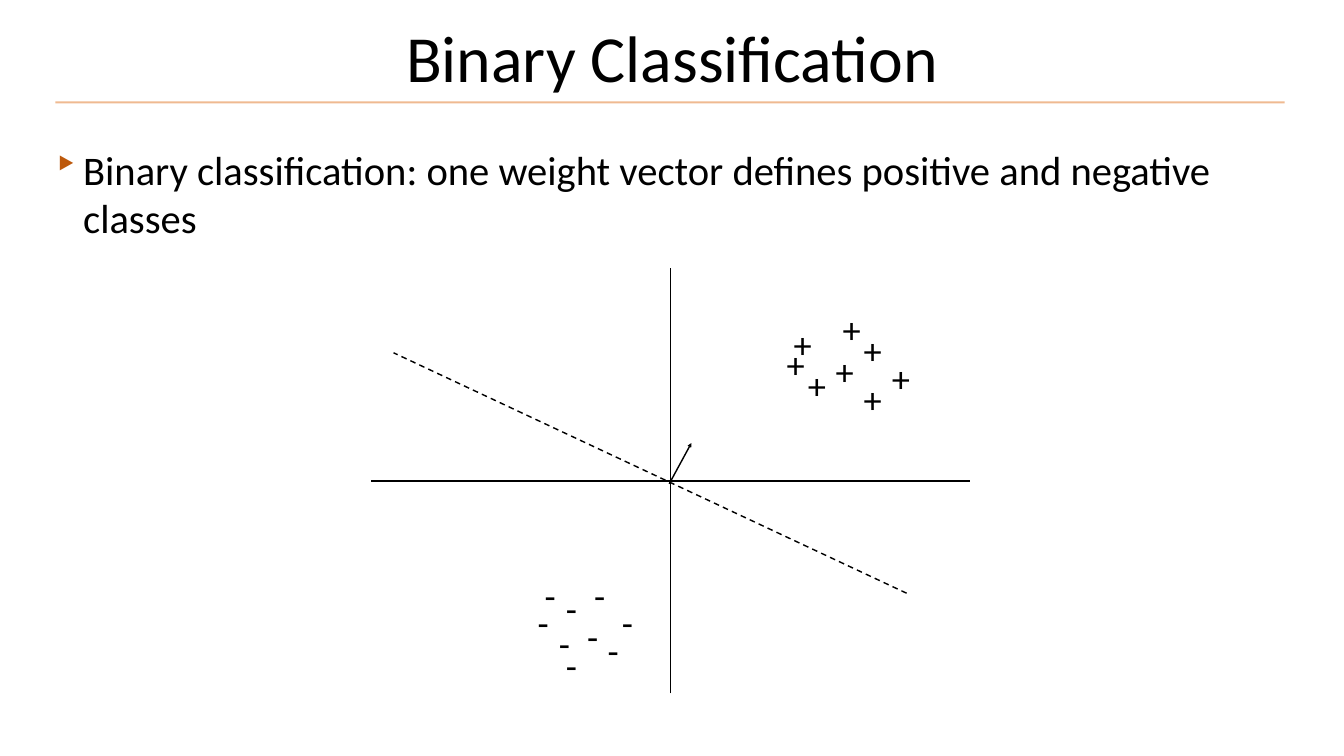
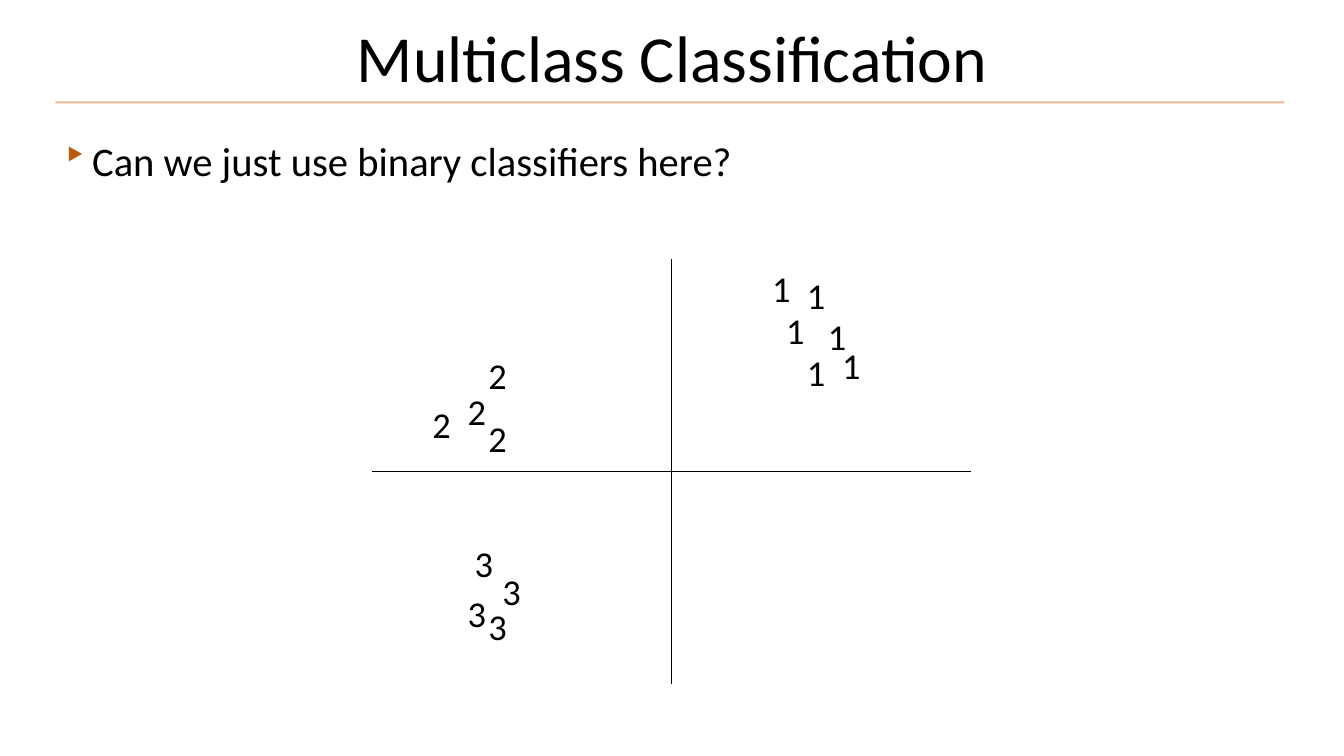
from dataclasses import dataclass

from lxml.etree import SubElement
from pptx import Presentation
from pptx.dml.color import RGBColor
from pptx.enum.dml import MSO_LINE
from pptx.enum.shapes import MSO_CONNECTOR
from pptx.enum.text import MSO_ANCHOR, MSO_AUTO_SIZE, PP_ALIGN
from pptx.oxml.ns import qn
from pptx.util import Inches, Pt


@dataclass(frozen=True)
class Theme:
    font: str = "Calibri"
    ink: str = "000000"
    rule: str = "DE6A10"
    bullet: str = "BD590C"
    title_size: int = 94
    body_size: int = 58
    mark_size: int = 52
    inset: float = 0.08
    hanging: float = 0.58


def set_attributes(target, values):
    for name, value in values.items():
        setattr(target, name, value)


class Deck:
    def __init__(self, theme):
        self.theme = theme
        self.presentation = Presentation()
        set_attributes(self.presentation, {"slide_width": Inches(26.67), "slide_height": Inches(15)})
        self.slide = None

    def add_slide(self, title):
        self.slide = self.presentation.slides.add_slide(self.presentation.slide_layouts[6])
        rule = self.line((1.1, 2.03), (25.49, 2.03), self.theme.rule, 3)
        color = rule.line._get_or_add_ln().find(".//" + qn("a:srgbClr"))
        SubElement(color, qn("a:alpha"), val="46000")
        self.text(title, (5.29, -0.16, 16.09, 2.56), self.theme.title_size,
                  {"vertical_anchor": MSO_ANCHOR.MIDDLE}, {"alignment": PP_ALIGN.CENTER})

    def text(self, content, box, size, frame_format, paragraph_format=None, bullet=False):
        frame = self.slide.shapes.add_textbox(*map(Inches, box)).text_frame
        inset = Inches(self.theme.inset)
        margins = {f"margin_{side}": inset for side in ("left", "top", "right", "bottom")}
        set_attributes(frame, {"word_wrap": True, **margins, **frame_format})
        paragraph = frame.paragraphs[0]
        set_attributes(paragraph, paragraph_format or {})
        if bullet:
            self.add_bullet(paragraph)
        run = paragraph.add_run()
        run.text = content
        set_attributes(run.font, {"name": self.theme.font, "size": Pt(size)})
        run.font.color.rgb = RGBColor.from_string(self.theme.ink)

    def add_bullet(self, paragraph):
        properties = paragraph._p.get_or_add_pPr()
        hanging = Inches(self.theme.hanging)
        properties.set("marL", str(hanging))
        properties.set("indent", str(-hanging))
        color = SubElement(properties, qn("a:buClr"))
        SubElement(color, qn("a:srgbClr"), val=self.theme.bullet)
        SubElement(properties, qn("a:buChar"), char="‣")

    def bullet(self, content, box):
        self.text(content, box, self.theme.body_size,
                  {"auto_size": MSO_AUTO_SIZE.SHAPE_TO_FIT_TEXT}, bullet=True)

    def marks(self, symbol, width, positions):
        frame_format = {"word_wrap": False, "vertical_anchor": MSO_ANCHOR.MIDDLE,
                        "auto_size": MSO_AUTO_SIZE.SHAPE_TO_FIT_TEXT}
        for left, top in positions:
            self.text(symbol, (left, top, width, 0.87), self.theme.mark_size, frame_format)

    def line(self, start, end, color=None, width=2, dash=None, arrow=False):
        connector = self.slide.shapes.add_connector(
            MSO_CONNECTOR.STRAIGHT, *map(Inches, (*start, *end)))
        connector.line.color.rgb = RGBColor.from_string(color or self.theme.ink)
        set_attributes(connector.line, {"width": Pt(width), "dash_style": dash})
        if arrow:
            SubElement(connector.line._get_or_add_ln(), qn("a:tailEnd"), type="triangle")
        SubElement(connector._element.spPr, qn("a:effectLst"))
        return connector

    def axes(self, center_x, center_y, half_width=5.94, half_height=4.22):
        self.line((center_x, center_y + half_height), (center_x, center_y - half_height))
        self.line((center_x - half_width, center_y), (center_x + half_width, center_y))


POSITIVES = [(15.67, 6.38), (15.53, 6.79), (15.95, 7.21), (16.5, 6.93),
             (17.06, 7.49), (17.62, 7.07), (17.06, 6.51), (16.64, 6.1)]
NEGATIVES = [(10.73, 11.36), (11.15, 11.63), (11.71, 11.36), (12.26, 11.91), (11.98, 12.47),
             (11.57, 12.19), (11.15, 12.75), (11.01, 12.33), (10.59, 11.91)]
CLASSES = {
    "1": [(15.24, 5.27), (15.93, 5.41), (15.52, 6.11), (16.35, 6.24), (15.93, 6.94), (16.63, 6.8)],
    "2": [(9.61, 7.01), (9.2, 7.71), (9.61, 8.26), (8.5, 7.98)],
    "3": [(9.61, 11.99), (9.2, 11.72), (9.89, 11.3), (9.34, 10.74)],
}


def build_binary(deck):
    deck.add_slide("Binary Classification")
    deck.bullet("Binary classification: one weight vector defines positive and negative classes",
                (0.99, 2.79, 23.53, 1.98))
    deck.axes(13.31, 9.54)
    deck.marks("+", 0.53, POSITIVES)
    deck.marks("-", 0.39, NEGATIVES)
    deck.line((17.99, 11.77), (7.81, 7), dash=MSO_LINE.DASH)
    deck.line((13.28, 9.6), (13.72, 8.79), arrow=True)


def build_multiclass(deck):
    deck.add_slide("Multiclass Classification")
    deck.axes(13.33, 9.35)
    for label, positions in CLASSES.items():
        deck.marks(label, 0.54, positions)
    deck.bullet("Can we just use binary classifiers here?", (1.17, 2.61, 23.86, 0.98))


def main():
    deck = Deck(Theme())
    build_binary(deck)
    build_multiclass(deck)
    deck.presentation.save("out.pptx")


if __name__ == "__main__":
    main()
